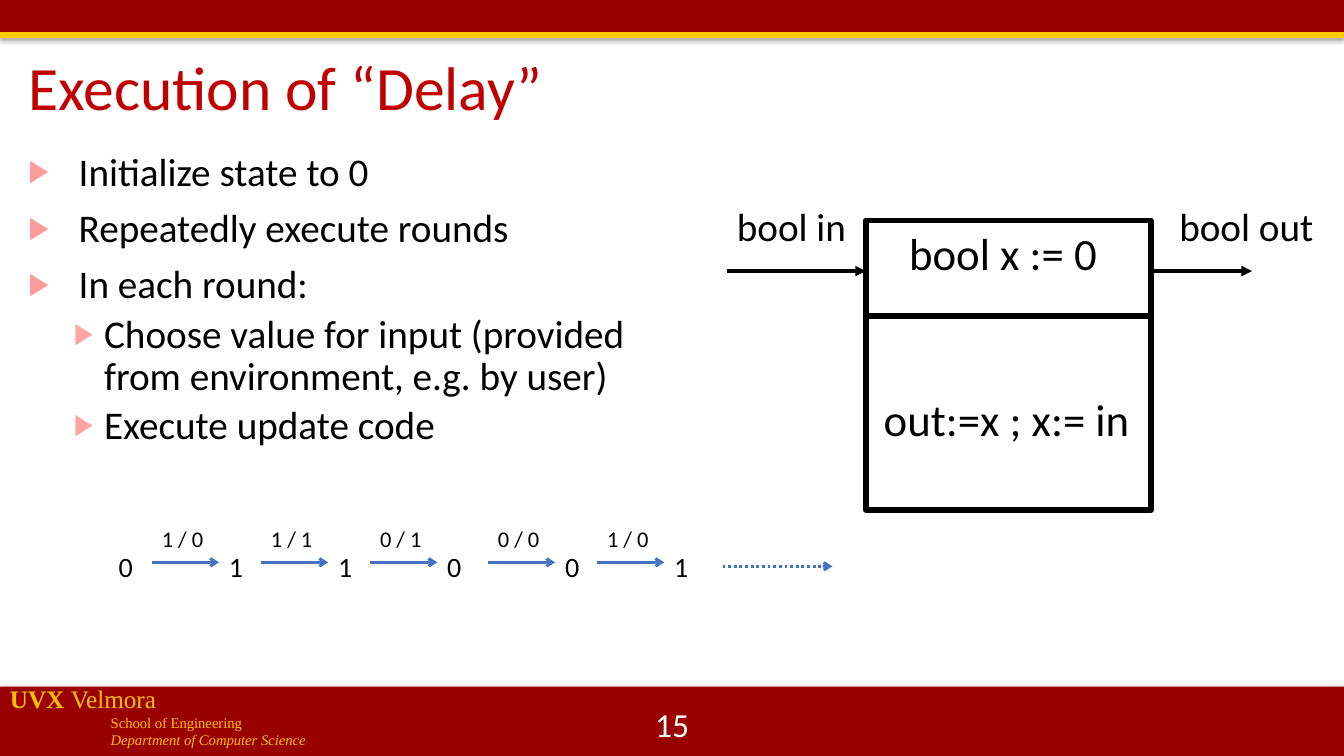
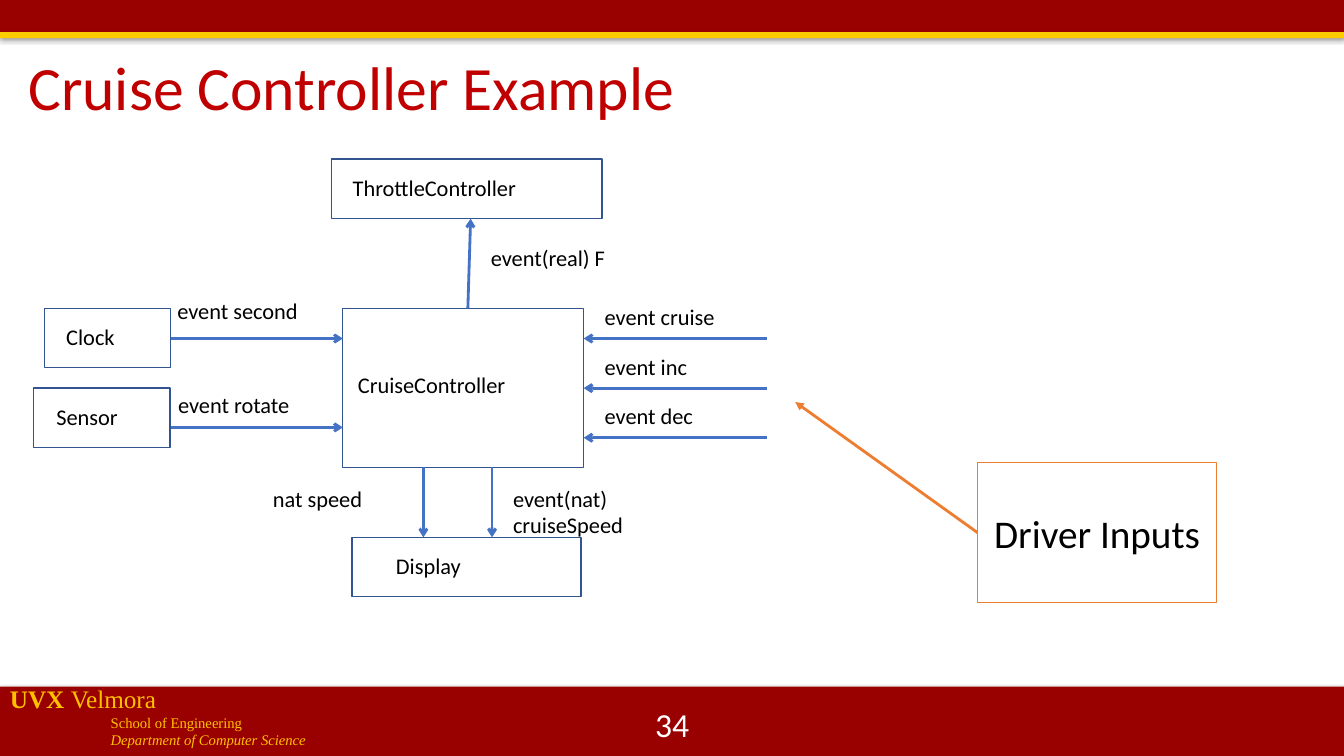
from pptx import Presentation
from pptx.dml.color import RGBColor
from pptx.enum.dml import MSO_LINE_DASH_STYLE as Dash
from pptx.enum.shapes import MSO_CONNECTOR as Connector, MSO_SHAPE as Shape
from pptx.enum.text import MSO_ANCHOR as Anchor, MSO_AUTO_SIZE as AutoSize, PP_ALIGN as Align
from pptx.oxml.ns import qn
from pptx.util import Cm, Pt
from lxml.etree import SubElement

COLORS = {
    "cardinal": "990000", "gold": "FFCC00", "school": "FFC000",
    "title": "C00000", "text": "000000", "white": "FFFFFF",
    "bullet": "FF9B9B", "sub_bullet": "FFA3A3",
    "blue": "4472C4", "box": "325491", "orange": "ED7D31",
}
WIDTH, HEIGHT = 33.87, 19.05
TITLE_ONLY, TITLE_AND_BODY = 5, 1
LABEL_HEIGHT = 1.12


def rgb(name):
    return RGBColor.from_string(COLORS[name])


# Basic parts; all lengths are centimetres
def add_run(paragraph, text, size=16, color="text", font="Calibri", bold=False, italic=False):
    run = paragraph.add_run()
    run.text = text
    run.font.size, run.font.name = Pt(size), font
    run.font.bold, run.font.italic = bold, italic
    run.font.color.rgb = rgb(color)


def place(shape, left, top, width, height):
    shape.left, shape.top = Cm(left), Cm(top)
    shape.width, shape.height = Cm(width), Cm(height)


def add_label(slide, text, left, top, width, height=LABEL_HEIGHT, align=Align.LEFT,
              anchor=Anchor.TOP, fit=True, **style):
    label = slide.shapes.add_textbox(Cm(left), Cm(top), Cm(width), Cm(height))
    frame = label.text_frame
    frame.word_wrap = not fit
    frame.auto_size = AutoSize.SHAPE_TO_FIT_TEXT if fit else AutoSize.NONE
    frame.vertical_anchor = anchor
    frame.paragraphs[0].alignment = align
    add_run(frame.paragraphs[0], text, **style)
    return label


def add_box(slide, left, top, width, height, fill=None, line=None, line_width=1):
    box = slide.shapes.add_shape(Shape.RECTANGLE, Cm(left), Cm(top), Cm(width), Cm(height))
    box.shadow.inherit = False
    if fill:
        box.fill.solid()
        box.fill.fore_color.rgb = rgb(fill)
    else:
        box.fill.background()
    if line:
        box.line.color.rgb = rgb(line)
        box.line.width = Pt(line_width)
    else:
        box.line.fill.background()
    return box


def add_line(slide, start, end, color="blue", width=2, head="arrow", dash=None):
    line = slide.shapes.add_connector(Connector.STRAIGHT, *map(Cm, start + end))
    line.line.color.rgb = rgb(color)
    line.line.width = Pt(width)
    if dash:
        line.line.dash_style = dash
    properties = line._element.spPr
    if head:
        SubElement(properties.find(qn("a:ln")), qn("a:tailEnd"), type=head)
    SubElement(properties, qn("a:effectLst"))


def add_band(slide, left, top, height, fill):
    band = add_box(slide, left, top, WIDTH, height, fill=fill)
    effects = band._element.spPr.find(qn("a:effectLst"))
    shadow = SubElement(effects, qn("a:outerShdw"), blurRad=str(Pt(3.1)), dist=str(Pt(1.8)),
                        dir="5400000", rotWithShape="0")
    color = SubElement(shadow, qn("a:srgbClr"), val=COLORS["text"])
    SubElement(color, qn("a:alpha"), val="35000")


# Shared frame: bands, school name, title, slide number
def add_school(slide, left, top, width, height):
    style = dict(font="Times New Roman", color="school")
    school = add_label(slide, "UVX ", left, top, width, height, fit=False,
                       size=18, bold=True, **style)
    frame = school.text_frame
    add_run(frame.paragraphs[0], "Velmora", size=18, **style)
    for text, italic in (("School of Engineering", False),
                         ("Department of Computer Science", True)):
        paragraph = frame.add_paragraph()
        paragraph._p.get_or_add_pPr().set("marL", str(Cm(2.54)))
        add_run(paragraph, text, size=10.5, italic=italic, **style)


def add_framed_slide(presentation, layout, title, number):
    slide = presentation.slides.add_slide(presentation.slide_layouts[layout])
    add_band(slide, 0, 0, 0.84, "cardinal")
    add_band(slide, 0, 0.81, 0.15, "gold")
    add_band(slide, 0, 17.3, 1.75, "cardinal")
    add_school(slide, 0, 17.09, 15.88, 1.96)
    place(slide.shapes.title, 0.46, 1.19, 30.33, 2.16)
    frame = slide.shapes.title.text_frame
    frame.auto_size = AutoSize.NONE
    frame.vertical_anchor = Anchor.MIDDLE
    paragraph = frame.paragraphs[0]
    paragraph.alignment, paragraph.line_spacing = Align.LEFT, 0.9
    add_run(paragraph, title, size=44, color="title")
    add_label(slide, str(number), 13.13, 17.73, 7.62, 1.02, fit=False, size=24,
              color="white", align=Align.CENTER, anchor=Anchor.MIDDLE)
    return slide


# Bullet list; each level has indent, hanging, space before, bullet colour and size
LEVELS = [(1.27, 1.27, 10, "bullet", 80), (1.91, 0.76, 5, "sub_bullet", 75)]


def fill_bullets(body, items):
    frame = body.text_frame
    frame.auto_size = AutoSize.NONE
    for index, (level, text) in enumerate(items):
        indent, hanging, space, color, percent = LEVELS[level]
        paragraph = frame.add_paragraph() if index else frame.paragraphs[0]
        paragraph.level, paragraph.line_spacing = level, 0.9
        paragraph.space_before = Pt(space)
        properties = paragraph._p.get_or_add_pPr()
        properties.set("marL", str(Cm(indent)))
        properties.set("indent", str(-Cm(hanging)))
        SubElement(SubElement(properties, qn("a:buClr")), qn("a:srgbClr"), val=COLORS[color])
        SubElement(properties, qn("a:buSzPct"), val=str(percent * 1000))
        SubElement(properties, qn("a:buFont"), typeface="Arial")
        SubElement(properties, qn("a:buChar"), char="▶")
        add_run(paragraph, text, size=28)


# Delay component with its ports
def draw_component(slide, left, top, width, height):
    right, port, divider = left + width, top + 1.27, top + 2.41
    wire = dict(color="text", width=2.5, head="triangle")
    add_box(slide, left, top, width, height, line="text", line_width=4)
    add_line(slide, (left, divider), (right, divider), color="text", width=4, head=None)
    add_line(slide, (left - 3.5, port), (left, port), **wire)
    add_line(slide, (right, port), (right + 2.54, port), **wire)
    add_label(slide, "bool in", left - 3.5, top - 0.58, 3.3, 1.45, size=28)
    add_label(slide, "bool out", right + 0.46, top - 0.58, 3.94, 1.45, size=28)
    add_label(slide, "bool x := 0", left + 0.84, top, 5.31, 1.63, size=32)
    add_label(slide, "out:=x ; x:= in", left + 0.2, top + 4.19, 6.78, 1.63, size=32)


# Sequence of rounds: input / output over each arrow, then the next state
def draw_execution(slide, left, top):
    state_top = top + 0.63
    add_label(slide, "0", left, state_top, 0.86, size=20)
    rounds = [("1 / 0", "1"), ("1 / 1", "1"), ("0 / 1", "0"), ("0 / 0", "0"), ("1 / 0", "1")]
    for index, (values, state) in enumerate(rounds):
        step = left + 1.09 + 2.75 * index + (0.22 if index > 2 else 0)
        add_label(slide, values, step, top, 1.57, 0.94)
        add_line(slide, (step, top + 1.07), (step + 1.69, top + 1.07))
        add_label(slide, state, step + 1.69, state_top, 0.86, size=20)
    add_line(slide, (left + 15.47, top + 1.17), (left + 18.24, top + 1.17),
             dash=Dash.ROUND_DOT)


# Cruise controller blocks and signals
def draw_cruise_diagram(slide, left, top):
    blocks = [  # text, x, y, width, height, text x, text y
        ("ThrottleController", 7.52, 0, 6.81, 1.5, 0.28, 0.25),
        ("CruiseController", 7.8, 3.76, 6.07, 4.01, 0.13, 1.45),
        ("Clock", 0.28, 3.76, 3.18, 1.5, 0.3, 0.25),
        ("Sensor", 0, 5.77, 3.45, 1.5, 0.33, 0.25),
        ("Display", 8.03, 9.53, 5.77, 1.5, 0.86, 0.25),
    ]
    for text, x, y, width, height, text_x, text_y in blocks:
        add_box(slide, left + x, top + y, width, height, line="box")
        add_label(slide, text, left + x + text_x, top + y + text_y, width - text_x)

    signals = [  # text, text x, text y, arrow start, arrow end
        ("event(real) F", 11.28, 2.01, (10.95, 3.76), (11.02, 1.5)),
        ("event second", 3.38, 3.35, (3.48, 4.52), (7.8, 4.52)),
        ("event rotate", 3.4, 5.72, (3.48, 6.76), (7.8, 6.76)),
        ("nat speed", 5.79, 8.08, (9.83, 7.77), (9.83, 9.53)),
        ("event(nat) cruiseSpeed", 11.84, 8.08, (11.56, 7.77), (11.56, 9.53)),
    ]
    for index, name in enumerate(("cruise", "inc", "dec")):
        drop = 1.25 * index
        signals.append((f"event {name}", 14.15, 3.51 + drop,
                        (18.49, 4.52 + drop), (13.87, 4.52 + drop)))
    for text, x, y, start, end in signals:
        add_label(slide, text, left + x, top + y, 4.9)
        add_line(slide, (left + start[0], top + start[1]), (left + end[0], top + end[1]))


# Callout whose arrow points up and left
def draw_driver_inputs(slide, left, top, width, height):
    add_line(slide, (left, top + height / 2), (left - 4.6, top - 1.53),
             color="orange", head="triangle")
    box = add_box(slide, left, top, width, height, fill="white", line="orange")
    box.text_frame.vertical_anchor = Anchor.MIDDLE
    paragraph = box.text_frame.paragraphs[0]
    paragraph.alignment = Align.CENTER
    add_run(paragraph, "Driver Inputs", size=28)


def build_delay_slide(presentation):
    slide = add_framed_slide(presentation, TITLE_AND_BODY, "Execution of “Delay”", 15)
    body = slide.placeholders[1]
    place(body, 0.46, 3.71, 17.15, 8.43)
    fill_bullets(body, [
        (0, "Initialize state to 0"),
        (0, "Repeatedly execute rounds"),
        (0, "In each round:"),
        (1, "Choose value for input (provided from environment, e.g. by user)"),
        (1, "Execute update code"),
    ])
    draw_component(slide, 21.82, 5.56, 7.19, 7.29)
    draw_execution(slide, 2.74, 13.1)


def build_cruise_slide(presentation):
    slide = add_framed_slide(presentation, TITLE_ONLY, "Cruise Controller Example", 34)
    draw_cruise_diagram(slide, 0.84, 4.01)
    draw_driver_inputs(slide, 24.64, 11.66, 6.02, 3.53)


def main():
    presentation = Presentation()
    presentation.slide_width, presentation.slide_height = Cm(WIDTH), Cm(HEIGHT)
    build_delay_slide(presentation)
    build_cruise_slide(presentation)
    presentation.save("out.pptx")


if __name__ == "__main__":
    main()
